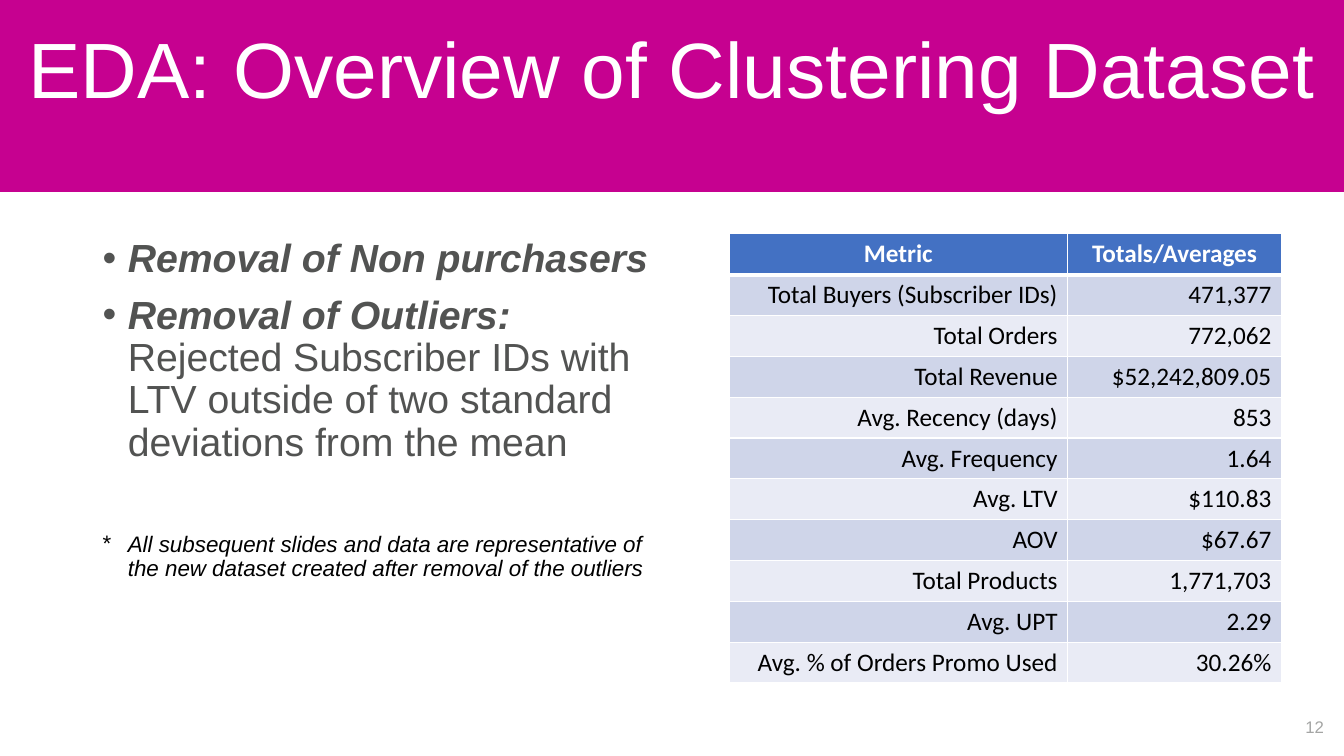
from lxml.etree import SubElement
from pptx import Presentation
from pptx.dml.color import RGBColor
from pptx.enum.shapes import MSO_SHAPE
from pptx.enum.text import MSO_ANCHOR, MSO_AUTO_SIZE, PP_ALIGN
from pptx.oxml import parse_xml
from pptx.oxml.ns import nsdecls, qn
from pptx.util import Inches, Pt

MAGENTA, WHITE, BLACK = "C60190", "FFFFFF", "000000"
GREY, PALE_GREY = "525352", "A4A5A4"
HEADER_BLUE, ROW_FILLS = "4371C3", ("CFD5E9", "E9EBF5")

METRICS = [
    ("Metric", "Totals/Averages"),
    ("Total Buyers (Subscriber IDs)", "471,377"),
    ("Total Orders", "772,062"),
    ("Total Revenue", "$52,242,809.05"),
    ("Avg. Recency (days)", "853"),
    ("Avg. Frequency", "1.64"),
    ("Avg. LTV", "$110.83"),
    ("AOV", "$67.67"),
    ("Total Products", "1,771,703"),
    ("Avg. UPT", "2.29"),
    ("Avg. % of Orders Promo Used", "30.26%"),
]

# Bullet, space before, size, colour, then spans of (text, bold, italic)
POINTS = [
    ("•", 0, 28, GREY, [("Removal of Non purchasers", True, True)]),
    ("•", 10, 28, GREY, [
        ("Removal of Outliers:", True, True),
        (" Rejected Subscriber IDs with LTV outside of two standard "
         "deviations from the mean", False, False)]),
    ("*", 49, 16, BLACK, [
        ("All subsequent slides and data are representative of the new "
         "dataset created after removal of the outliers", False, True)]),
]


def colour(value):
    return RGBColor.from_string(value)


def add_span(para, text, size, value, bold=False, italic=False, name="Arial"):
    span = para.add_run()
    span.text = text
    font = span.font
    font.name, font.size, font.bold, font.italic = name, Pt(size), bold, italic
    font.color.rgb = colour(value)


def add_header(page, left, top, width, height):
    band = page.shapes.add_shape(MSO_SHAPE.RECTANGLE, left, top, width, height)
    band.shadow.inherit = False
    band.fill.solid()
    band.fill.fore_color.rgb = colour(MAGENTA)
    band.line.color.rgb = colour(MAGENTA)
    band.line.width = Pt(1)

    title = page.shapes.title
    title.element.addprevious(band.element)
    title.left, title.top, title.width = left, top, width
    title.height = height - Inches(0.45)
    frame = title.text_frame
    frame.auto_size = MSO_AUTO_SIZE.NONE
    frame.vertical_anchor = MSO_ANCHOR.MIDDLE
    para = frame.paragraphs[0]
    para.alignment = PP_ALIGN.CENTER
    para.line_spacing = 0.9
    add_span(para, "EDA: Overview of Clustering Dataset", 56, WHITE)


def add_bullet(para, character, indent):
    properties = para._p.get_or_add_pPr()
    properties.set("marL", str(indent))
    properties.set("indent", str(-indent))
    SubElement(properties, qn("a:buFont")).set("typeface", "Arial")
    SubElement(properties, qn("a:buChar")).set("char", character)


def add_points(page, left, top, width, height):
    frame = page.shapes.add_textbox(left, top, width, height).text_frame
    frame.word_wrap = True
    for index, (bullet, before, size, value, spans) in enumerate(POINTS):
        para = frame.add_paragraph() if index else frame.paragraphs[0]
        add_bullet(para, bullet, Inches(0.25))
        para.line_spacing = 0.9
        para.space_before = Pt(before)
        for text, bold, italic in spans:
            add_span(para, text, size, value, bold, italic)


def add_borders(cell, bottom):
    """Draw white cell edges, the lower one `bottom` points wide."""
    properties = cell._tc.get_or_add_tcPr()
    edges = {"lnL": 1, "lnR": 1, "lnT": 1, "lnB": bottom}
    for position, (edge, points) in enumerate(edges.items()):
        properties.insert(position, parse_xml(
            f'<a:{edge} {nsdecls("a")} w="{Pt(points)}"><a:solidFill>'
            f'<a:srgbClr val="{WHITE}"/></a:solidFill></a:{edge}>'))


def add_metrics(page, left, top, width, height):
    table = page.shapes.add_table(
        len(METRICS), 2, left, top, width, height).table
    table.columns[0].width = Inches(3.36)
    table.columns[1].width = width - Inches(3.36)
    for row, texts in enumerate(METRICS):
        header = row == 0
        for column, text in enumerate(texts):
            cell = table.cell(row, column)
            cell.fill.solid()
            cell.fill.fore_color.rgb = colour(
                HEADER_BLUE if header else ROW_FILLS[(row - 1) % 2])
            add_borders(cell, 3 if header else 1)
            para = cell.text_frame.paragraphs[0]
            para.alignment = PP_ALIGN.CENTER if header else PP_ALIGN.RIGHT
            add_span(para, text, 18, WHITE if header else BLACK,
                     bold=header, name="Calibri")


def add_page_number(page, left, top, width, height):
    frame = page.shapes.add_textbox(left, top, width, height).text_frame
    frame.word_wrap = True
    frame.vertical_anchor = MSO_ANCHOR.MIDDLE
    para = frame.paragraphs[0]
    para.alignment = PP_ALIGN.RIGHT
    add_span(para, "12", 12, PALE_GREY)


def main():
    deck = Presentation()
    deck.slide_width, deck.slide_height = Inches(13.33), Inches(7.5)
    page = deck.slides.add_slide(deck.slide_layouts[5])
    add_header(page, 0, 0, deck.slide_width, Inches(1.9))
    add_points(page, Inches(0.92), Inches(2.32), Inches(5.67), Inches(4.44))
    add_metrics(page, Inches(7.23), Inches(2.32), Inches(5.48), Inches(4.46))
    add_page_number(page, Inches(12.53), Inches(7.01), Inches(0.7), Inches(0.4))
    deck.save("out.pptx")


if __name__ == "__main__":
    main()
